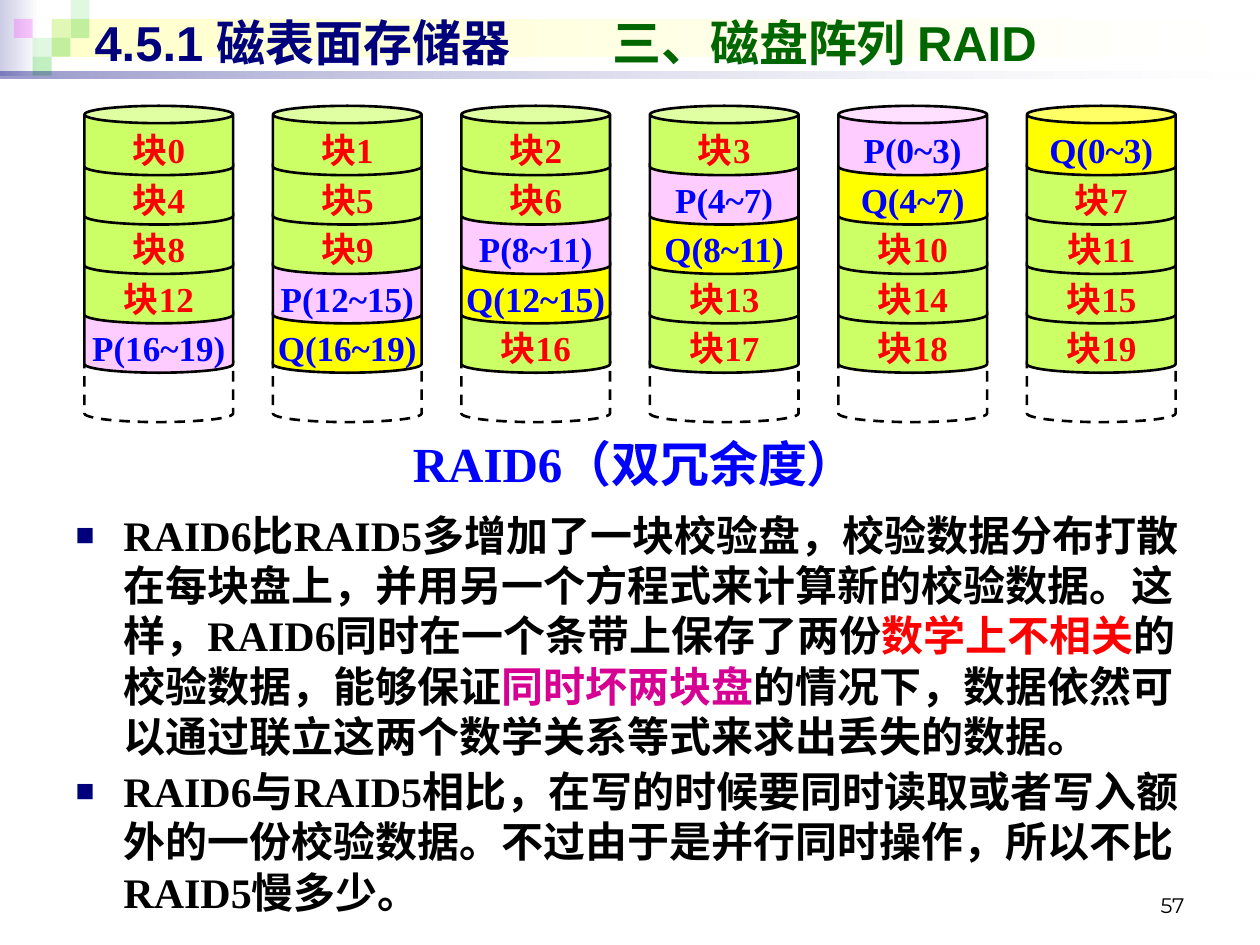
from lxml.etree import SubElement
from pptx import Presentation
from pptx.dml.color import RGBColor
from pptx.enum.dml import MSO_LINE
from pptx.enum.shapes import MSO_SHAPE
from pptx.enum.text import MSO_ANCHOR, MSO_AUTO_SIZE, PP_ALIGN
from pptx.oxml.ns import qn
from pptx.util import Inches, Pt

SERIF = "Times New Roman"
BLACK, RED, BLUE, NAVY = "000000", "FF0000", "0000FF", "00007D"
DATA_FILL, P_FILL, Q_FILL = "CCFF66", "FFCCFF", "FFFF00"

# Disk array: left and top of the first block, and the steps between blocks
DISKS, STRIPES = 6, 5
DATA_DISKS = DISKS - 2
ARRAY_LEFT, ARRAY_TOP = 0.67, 0.84
DISK_STEP = (8.15 - ARRAY_LEFT) / (DISKS - 1)
STRIPE_STEP = (2.8 - ARRAY_TOP) / STRIPES

# Header squares: left, top, colour, opacity in percent
SQUARES = [
    (0.41, 0.15, "33CC33", 15),
    (0.56, 0, "33CC33", 15),
    (0.56, 0.15, "33CC33", 30),
    (0.26, 0.3, "33CC33", 15),
    (0.11, 0.15, "FF00FF", 20),
    (0.41, 0.3, "33CC33", 30),
    (0.26, 0.45, "33CC33", 30),
]

BODY = [
    [
        ("RAID6比RAID5多增加了一块校验盘，校验数据分布打散在每块盘上，"
         "并用另一个方程式来计算新的校验数据。这样，"
         "RAID6同时在一个条带上保存了两份", BLACK),
        ("数学上不相关", RED),
        ("的校验数据，能够保证", BLACK),
        ("同时坏两块盘", "D60093"),
        ("的情况下，数据依然可以通过联立这两个数学关系等式来求出丢失的数据。", BLACK),
    ],
    [
        ("RAID6与RAID5相比，在写的时候要同时读取或者写入额外的一份校验数据。"
         "不过由于是并行同时操作，所以不比RAID5慢多少。", BLACK),
    ],
]


def color(value):
    return RGBColor.from_string(value)


def place(shape, left, top, width, height):
    shape.left, shape.top = Inches(left), Inches(top)
    shape.width, shape.height = Inches(width), Inches(height)


def add_run(paragraph, text, size=24, font=SERIF, fill=BLACK, bold=True):
    run = paragraph.add_run()
    run.text = text
    run.font.name, run.font.size, run.font.bold = font, Pt(size), bold
    run.font.color.rgb = color(fill)


def write(frame, paragraphs, align=PP_ALIGN.LEFT, anchor=MSO_ANCHOR.TOP, wrap=True,
          space=0, line_spacing=None, decorate=None, **font):
    """Fill a text frame; each paragraph is a list of (text, colour) pairs."""
    frame.word_wrap = wrap
    frame.auto_size = MSO_AUTO_SIZE.NONE
    frame.vertical_anchor = anchor
    for index, pieces in enumerate(paragraphs):
        paragraph = frame.add_paragraph() if index else frame.paragraphs[0]
        if decorate:
            decorate(paragraph)
        paragraph.alignment = align
        paragraph.space_before = Pt(space if index else 0)
        if line_spacing:
            paragraph.line_spacing = line_spacing
        for text, fill in pieces:
            add_run(paragraph, text, fill=fill, **font)


def add_bullet(paragraph):
    properties = paragraph._p.get_or_add_pPr()
    properties.set("marL", str(Inches(0.38)))
    properties.set("indent", str(-Inches(0.38)))
    bullet_color = SubElement(properties, qn("a:buClr"))
    SubElement(bullet_color, qn("a:srgbClr"), val=NAVY)
    SubElement(properties, qn("a:buSzPct"), val="75000")
    SubElement(properties, qn("a:buFont"), typeface="Arial")
    SubElement(properties, qn("a:buChar"), char="■")


def add_title_tab(paragraph):
    properties = paragraph._p.get_or_add_pPr()
    tabs = SubElement(properties, qn("a:tabLst"))
    SubElement(tabs, qn("a:tab"), pos=str(Inches(4.11)), algn="l")


def add_shape(slide, kind, left, top, width, height):
    shape = slide.shapes.add_shape(
        kind, Inches(left), Inches(top), Inches(width), Inches(height))
    shape.shadow.inherit = False
    return shape


def add_band(slide, box, colors, opacities=(100, 100)):
    """Add a borderless rectangle: one colour is solid, two make a gradient."""
    shape = add_shape(slide, MSO_SHAPE.RECTANGLE, *box)
    shape.line.fill.background()
    if len(colors) == 1:
        shape.fill.solid()
        shape.fill.fore_color.rgb = color(colors[0])
    else:
        shape.fill.gradient()
        shape.fill.gradient_angle = 0
        for stop, value in zip(shape.fill.gradient_stops, colors):
            stop.color.rgb = color(value)
    for element, opacity in zip(shape._element.spPr.iter(qn("a:srgbClr")), opacities):
        if opacity < 100:
            SubElement(element, qn("a:alpha"), val=str(opacity * 1000))


def add_header(slide):
    add_band(slide, (0, 0, 0.31, 0.6), ["CCCCE6", "FFFFFF"])
    add_band(slide, (0.41, 0.15, 9.55, 0.3), ["FFFFCC", "FFFFFF"])
    for left, top, fill, opacity in SQUARES:
        add_band(slide, (left, top, 0.15, 0.15), [fill], [opacity])
    add_band(slide, (0, 0.57, 10, 0.05), [NAVY, "FFFFFF"], [40, 10])


def add_block(slide, disk, stripe):
    shape = add_shape(slide, MSO_SHAPE.CAN, ARRAY_LEFT + disk * DISK_STEP,
                      ARRAY_TOP + stripe * STRIPE_STEP, 1.18, 0.55)
    shape.line.color.rgb = color(BLACK)
    shape.line.width = Pt(1.5)
    return shape


def block_content(disk, stripe):
    """Return label, text colour and fill; parity moves one disk left per stripe."""
    first = stripe * DATA_DISKS
    p_disk = DATA_DISKS - stripe
    span = f"({first}~{first + DATA_DISKS - 1})"
    if disk == p_disk:
        return "P" + span, BLUE, P_FILL
    if disk == p_disk + 1:
        return "Q" + span, BLUE, Q_FILL
    number = first + disk - (2 if disk > p_disk else 0)
    return f"块{number}", RED, DATA_FILL


def add_disk(slide, disk):
    # Dashed continuation, then blocks from bottom to top
    rest = add_block(slide, disk, STRIPES)
    rest.fill.background()
    rest.line.dash_style = MSO_LINE.DASH
    for stripe in reversed(range(STRIPES)):
        label, text_color, fill = block_content(disk, stripe)
        shape = add_block(slide, disk, stripe)
        shape.fill.solid()
        shape.fill.fore_color.rgb = color(fill)
        frame = shape.text_frame
        frame.margin_left = frame.margin_right = frame.margin_bottom = 0
        frame.margin_top = Inches(0.08)
        write(frame, [[(label, text_color)]], align=PP_ALIGN.CENTER,
              anchor=MSO_ANCHOR.MIDDLE, wrap=False, size=20)


def add_text(slide, left, top, width, height, paragraphs, **text_format):
    box = slide.shapes.add_textbox(
        Inches(left), Inches(top), Inches(width), Inches(height))
    write(box.text_frame, paragraphs, **text_format)


def main():
    presentation = Presentation()
    presentation.slide_width, presentation.slide_height = Inches(10), Inches(7.5)
    slide = presentation.slides.add_slide(presentation.slide_layouts[1])
    title, body = slide.placeholders[0], slide.placeholders[1]

    # Header, with the title in front of it
    add_header(slide)
    slide.shapes._spTree.append(title._element)
    place(title, 0.65, 0.05, 9, 0.55)
    write(title.text_frame,
          [[("4.5.1 磁表面存储器\t", NAVY), ("三、磁盘阵列 RAID", "006600")]],
          decorate=add_title_tab, size=28, font="Arial")

    # Disk array and its caption
    for disk in range(DISKS):
        add_disk(slide, disk)
    add_text(slide, 0.43, 3.44, 9.21, 0.55, [[("RAID6（双冗余度）", BLUE)]],
             align=PP_ALIGN.CENTER, line_spacing=0.9, size=28)

    # Explanation
    place(body, 0.5, 3.99, 9.15, 3.39)
    write(body.text_frame, BODY, space=2.4, decorate=add_bullet)

    # Page number
    add_text(slide, 7.17, 6.83, 2.33, 0.5, [[("57", BLACK)]], align=PP_ALIGN.RIGHT,
             anchor=MSO_ANCHOR.BOTTOM, size=12, font="Montserrat", bold=False)
    presentation.save("out.pptx")


if __name__ == "__main__":
    main()
